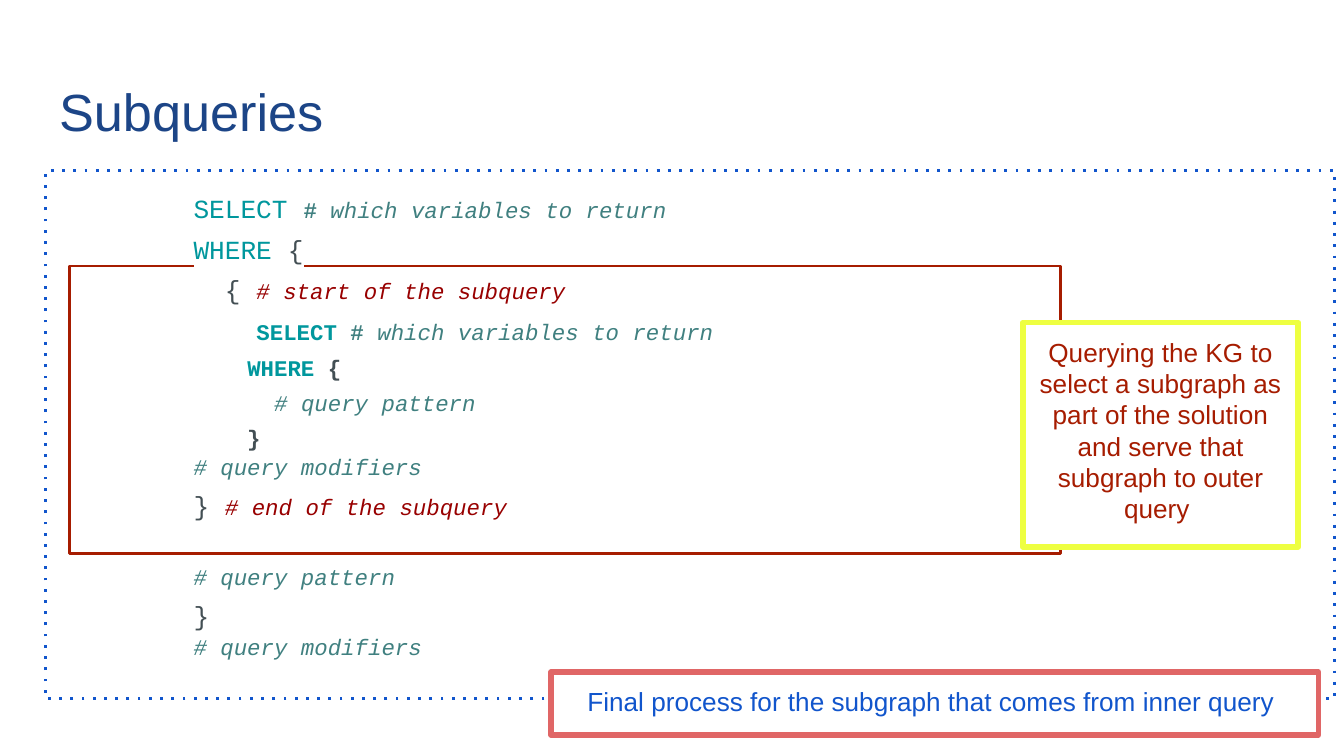
from lxml import etree
from pptx import Presentation
from pptx.dml.color import RGBColor
from pptx.enum import shapes, text
from pptx.oxml import ns
from pptx.util import Inches, Pt

THEME = {
    "navy": "1C4587", "blue": "1155CC", "rust": "A61C00", "yellow": "EEFF41",
    "rose": "E06666", "white": "FFFFFF", "keyword": "00979D", "plain": "434F54",
    "comment": "408080", "marker": "980000",
    "sans": "Arial", "mono": "Courier New",
    "title": 28, "large": 14, "small": 12,
}
NO_STYLE = "{2D5ABB26-0587-4C30-8999-92F81FD0307C}"

deck = Presentation()
deck.slide_width = Inches(10)
deck.slide_height = deck.slide_width * 9 // 16
page = deck.slides.add_slide(deck.slide_layouts[5])
COLUMN = deck.slide_width / 100  # square grid, 100 columns across


def grid(*cells):
    return [round(cell * COLUMN) for cell in cells]


def add_span(para, words, color, size, face, bold=False, italic=False, back=None):
    span = para.add_run()
    span.text = words
    span.font.color.rgb = RGBColor.from_string(THEME[color])
    if back:
        highlight = etree.SubElement(span.font._element, ns.qn("a:highlight"))
        etree.SubElement(highlight, ns.qn("a:srgbClr"), val=THEME[back])
    look = {"name": THEME[face], "size": Pt(THEME[size]), "bold": bold, "italic": italic}
    for name, value in look.items():
        setattr(span.font, name, value)


# Title
title = page.shapes.title
title.left, title.top, title.width, title.height = grid(3.4, 4.9, 93.2, 6.3)
frame = title.text_frame
frame.auto_size = text.MSO_AUTO_SIZE.NONE
frame.vertical_anchor = text.MSO_ANCHOR.TOP
frame.margin_left = frame.margin_right = frame.margin_top = frame.margin_bottom = Inches(0.1)
frame.paragraphs[0].alignment = text.PP_ALIGN.LEFT
add_span(frame.paragraphs[0], "Subqueries", "navy", "title", "sans")

# Frames and callouts, from back to front
panels = [
    ((3.4, 12.7, 95.9, 39.3), "blue", 1.5, None, None),
    ((5.2, 19.8, 73.7, 21.4), "rust", 1.5, None, None),
    ((76.1, 24, 20.5, 16.7), "yellow", 3, "rust",
     "Querying the KG to select a subgraph as part of the solution "
     "and serve that subgraph to outer query "),
    ((41, 50, 57.1, 4.7), "rose", 3, "blue",
     "Final process for the subgraph that comes from inner query "),
]
for place, line_color, weight, text_color, words in panels:
    box = page.shapes.add_shape(shapes.MSO_SHAPE.RECTANGLE, *grid(*place))
    box.shadow.inherit = False
    box.line.color.rgb = RGBColor.from_string(THEME[line_color])
    box.line.width = Pt(weight)
    if words is None:
        box.fill.background()
        continue
    box.fill.solid()
    box.fill.fore_color.rgb = RGBColor.from_string(THEME["white"])
    frame = box.text_frame
    frame.word_wrap = True
    frame.vertical_anchor = text.MSO_ANCHOR.TOP
    frame.margin_left = frame.margin_right = frame.margin_top = frame.margin_bottom = Inches(0.1)
    frame.paragraphs[0].alignment = text.PP_ALIGN.CENTER
    add_span(frame.paragraphs[0], words, text_color, "large", "sans")
outer_frame, inner_frame, callout = list(page.shapes)[1:4]

# Dotted outer frame, behind the title
outline = outer_frame.line._get_or_add_ln()
outline.find(ns.qn("a:solidFill")).addnext(
    etree.Element(ns.qn("a:prstDash"), val="dot"))
title._element.addprevious(outer_frame._element)

# Code table, placed just behind the callouts
holder = page.shapes.add_table(2, 1, *grid(13.7, 13.1, 72.6, 42.2))
callout._element.addprevious(holder._element)
table = holder.table
table._tbl.tblPr.find(ns.qn("a:tableStyleId")).text = NO_STYLE
table.first_row = table.horz_banding = False
for row, height in zip(table.rows, grid(30, 12.2)):
    row.height = height
    cell = row.cells[0]
    cell.fill.background()
    cell.margin_left = cell.margin_right = cell.margin_top = cell.margin_bottom = Inches(0.07)

# Span styles: colour, size, bold, italic
STYLES = {
    "key": ("keyword", "large", False, False),
    "text": ("plain", "large", False, False),
    "inner key": ("keyword", "small", True, False),
    "inner text": ("plain", "small", True, False),
    "hash": ("comment", "small", True, False),
    "note": ("comment", "small", False, True),
    "mark": ("marker", "small", False, True),
}
LOOSE, TIGHT = 1.38, 1.15
# Each line: spacing, space before in points, spans
code = [
    (LOOSE, 0, [("key", "SELECT"), ("text", " "), ("hash", "# "),
                ("note", "which variables to return")]),
    (LOOSE, 0, [("key", "WHERE"), ("text", " {")]),
    (LOOSE, 0, [("text", "  { "), ("mark", "# start of the subquery")]),
    (LOOSE, 0, [("text", "    "), ("inner key", "SELECT"), ("inner text", " "),
                ("hash", "# "), ("note", "which variables to return")]),
    (LOOSE, 0, [("inner text", "    "), ("inner key", "WHERE"), ("inner text", " {")]),
    (LOOSE, 0, [("inner text", "      "), ("note", "# query pattern")]),
    (LOOSE, 0, [("inner text", "    }")]),
    (TIGHT, 0, [("note", "# query modifiers")]),
    (LOOSE, 0, [("text", "} "), ("mark", "# end of the subquery")]),
    (TIGHT, 21.5, [("note", "# query pattern")]),
    (LOOSE, 0, [("text", "}")]),
    (TIGHT, 0, [("note", "# query modifiers")]),
]
frame = table.cell(0, 0).text_frame
for number, (spacing, gap, spans) in enumerate(code):
    para = frame.add_paragraph() if number else frame.paragraphs[0]
    para.line_spacing = spacing
    if gap:
        para.space_before = Pt(gap)
    for style, words in spans:
        color, size, bold, italic = STYLES[style]
        add_span(para, words, color, size, "mono", bold, italic, back="white")

deck.save("out.pptx")
